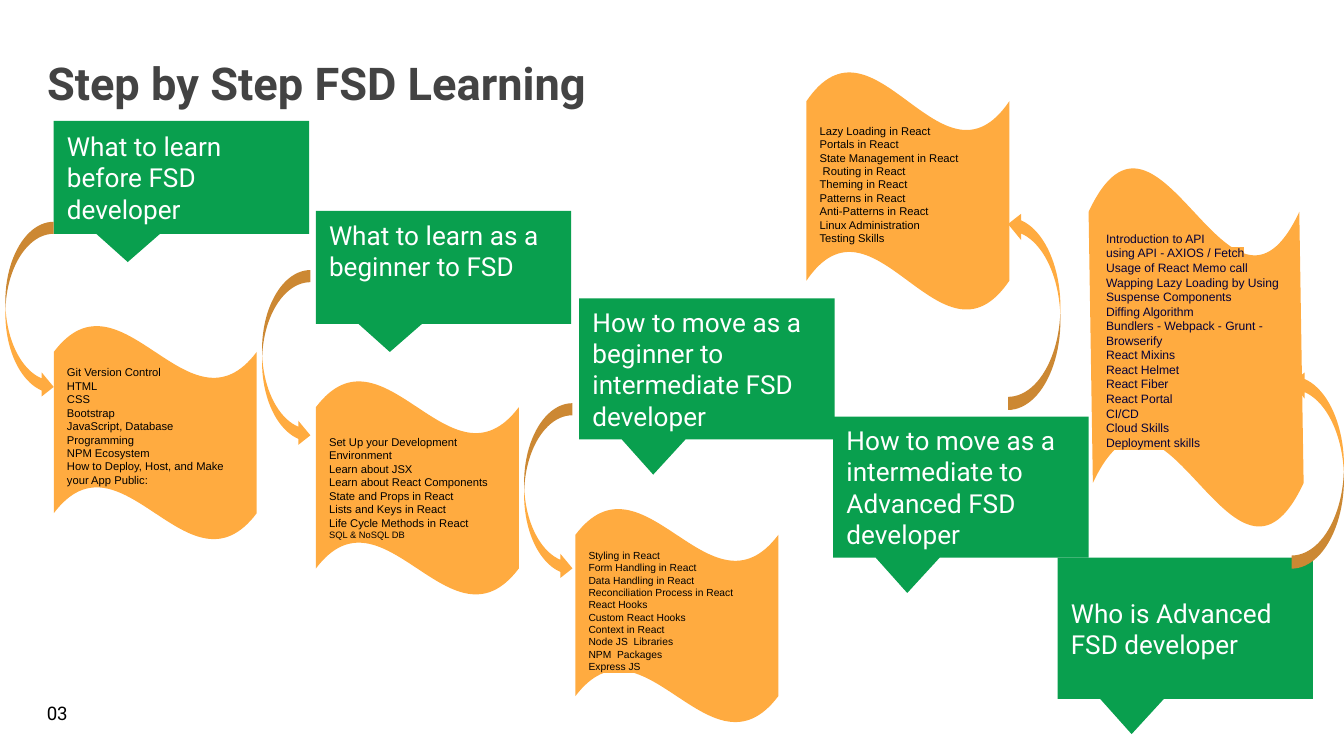
from dataclasses import dataclass

from lxml.etree import SubElement
from pptx import Presentation
from pptx.dml.color import RGBColor as RGB
from pptx.enum.shapes import MSO_SHAPE as SHAPE
from pptx.enum.text import MSO_ANCHOR as ANCHOR, MSO_AUTO_SIZE as AUTO, PP_ALIGN as ALIGN
from pptx.oxml.ns import qn
from pptx.util import Pt


@dataclass(frozen=True)
class Theme:
    green: str = "099F4E"
    orange: str = "FFAB40"
    heading: str = "434343"
    white: str = "FFFFFF"
    black: str = "000000"
    navy: str = "050038"
    head_font: str = "Roboto"
    list_font: str = "Arial"
    title_size: float = 24.2
    step_size: float = 14
    number_size: float = 10
    inset: float = 7.2


THEME = Theme()
STEP_WIDTH = 136.8

# text, left, top, height, bottom inset
STEPS = [
    ("What to learn before FSD developer", 28.8, 64.8, 60.5, 0),
    ("What to learn as a beginner to FSD", 169.2, 113, 60.5, 18),
    ("How to move as a beginner to intermediate FSD developer", 310.3, 159.8, 75.6, 0),
    ("How to move as a intermediate to Advanced FSD developer", 446.4, 223.2, 75.6, 0),
    ("Who is Advanced FSD developer", 566.6, 298.8, 75.6, 0),
]

# box, text size, bottom inset, text colour, highlighted, topics
TOPICS = [
    ((28.8, 174.2, 108.7, 115.2), 6, 7, THEME.black, False, [
        "Git Version Control", "HTML", "CSS", "Bootstrap", "JavaScript, Database",
        "Programming", "NPM Ecosystem", "How to Deploy, Host, and Make your App Public:"]),
    ((169.2, 203.8, 108.7, 115.2), 6, 0, THEME.black, False, [
        "Set Up your Development Environment", "Learn about JSX",
        "Learn about React Components", "State and Props in React",
        "Lists and Keys in React", "Life Cycle Methods in React", "SQL & NoSQL DB"]),
    ((308.2, 272.2, 108.7, 115.2), 5.5, 5, THEME.black, True, [
        "Styling in React", "Form Handling in React", "Data Handling in React",
        "Reconciliation Process in React", "React Hooks", "Custom React Hooks",
        "Context in React", "Node JS  Libraries", "NPM  Packages", "Express JS"]),
    ((432, 38.2, 108.7, 128.2), 6, 7, THEME.black, False, [
        "Lazy Loading in React", "Portals in React", "State Management in React",
        " Routing in React", "Theming in React", "Patterns in React",
        "Anti-Patterns in React", "Linux Administration", "Testing Skills"]),
    ((583.2, 89.3, 115.2, 193.7), 6.5, 7.5, THEME.navy, True, [
        "Introduction to API", "using API - AXIOS / Fetch", "Usage of React Memo call",
        "Wapping Lazy Loading by Using Suspense Components", "Diffing Algorithm",
        "Bundlers - Webpack - Grunt - Browserify", "React Mixins", "React Helmet",
        "React Fiber", "React Portal", "CI/CD", "Cloud Skills", "Deployment skills"]),
]

# box, rotation
ARROWS = [
    ((2.9, 118.8, 25.9, 95), 0),
    ((140.4, 144.7, 25.9, 95), 0),
    ((280.8, 216, 25.9, 95), 0),
    ((540, 113, 28.1, 106.6), 180),
    ((691.9, 198, 28.1, 106.6), 180),
]


def points(box):
    return [Pt(v) for v in box]


def set_frame(tf, anchor, top=THEME.inset, bottom=THEME.inset):
    tf.word_wrap = True
    tf.auto_size = AUTO.NONE
    tf.vertical_anchor = anchor
    tf.margin_left = tf.margin_right = Pt(THEME.inset)
    tf.margin_top, tf.margin_bottom = Pt(top), Pt(bottom)


def write(tf, lines, font, size, color, bold=False):
    tf.text = "\n".join(lines)
    for p in tf.paragraphs:
        p.alignment = ALIGN.LEFT
        for r in p.runs:
            r.font.name, r.font.size, r.font.bold = font, Pt(size), bold
            r.font.color.rgb = RGB.from_string(color)


def highlight(tf, color):
    for p in tf.paragraphs:
        for r in p.runs:
            rpr = r.font._element
            mark = SubElement(rpr, qn("a:highlight"))
            SubElement(mark, qn("a:srgbClr")).set("val", color)
            rpr.find(qn("a:solidFill")).addnext(mark)


def add_filled(s, kind, box, color):
    sp = s.shapes.add_shape(kind, *points(box))
    sp.shadow.inherit = False
    sp.fill.solid()
    sp.fill.fore_color.rgb = RGB.from_string(color)
    sp.line.fill.background()
    return sp


def add_title(s, text):
    sp = s.shapes.title
    sp.left, sp.top, sp.width, sp.height = points((18, 18, 671, 53.3))
    tf = sp.text_frame
    set_frame(tf, ANCHOR.TOP)
    write(tf, [text], THEME.head_font, THEME.title_size, THEME.heading, bold=True)
    tf.paragraphs[0].line_spacing = 1.15


def add_page_number(s, text):
    tf = s.shapes.add_textbox(*points((18, 368.6, 103.7, 26.6))).text_frame
    set_frame(tf, ANCHOR.TOP)
    write(tf, [text], THEME.head_font, THEME.number_size, THEME.black)


def add_step(s, text, left, top, height, bottom):
    sp = add_filled(s, SHAPE.ROUNDED_RECTANGULAR_CALLOUT,
                    (left, top, STEP_WIDTH, height), THEME.green)
    for i, value in enumerate((-0.21, 0.75, 0)):
        sp.adjustments[i] = value
    set_frame(sp.text_frame, ANCHOR.MIDDLE, 0, bottom)
    write(sp.text_frame, [text], THEME.head_font, THEME.step_size, THEME.white)


def add_topics(s, box, size, bottom, color, marked, topics):
    sp = add_filled(s, SHAPE.WAVE, box, THEME.orange)
    tf = sp.text_frame
    set_frame(tf, ANCHOR.MIDDLE, 0, bottom)
    write(tf, topics, THEME.list_font, size, color)
    if marked:
        highlight(tf, THEME.orange)
    return sp


def add_arrow(s, box, rotation):
    add_filled(s, SHAPE.CURVED_RIGHT_ARROW, box, THEME.orange).rotation = rotation


def main():
    prs = Presentation()
    prs.slide_width, prs.slide_height = Pt(720), Pt(405)
    s = prs.slides.add_slide(prs.slide_layouts[5])
    add_title(s, "Step by Step FSD Learning")
    add_page_number(s, "03")
    for step in STEPS:
        add_step(s, *step)
    waves = [add_topics(s, *group) for group in TOPICS]
    waves[1].text_frame.paragraphs[-1].runs[0].font.size = Pt(5)
    waves[-1].adjustments[1] = 0.01
    for arrow in ARROWS:
        add_arrow(s, *arrow)
    prs.save("out.pptx")


if __name__ == "__main__":
    main()
